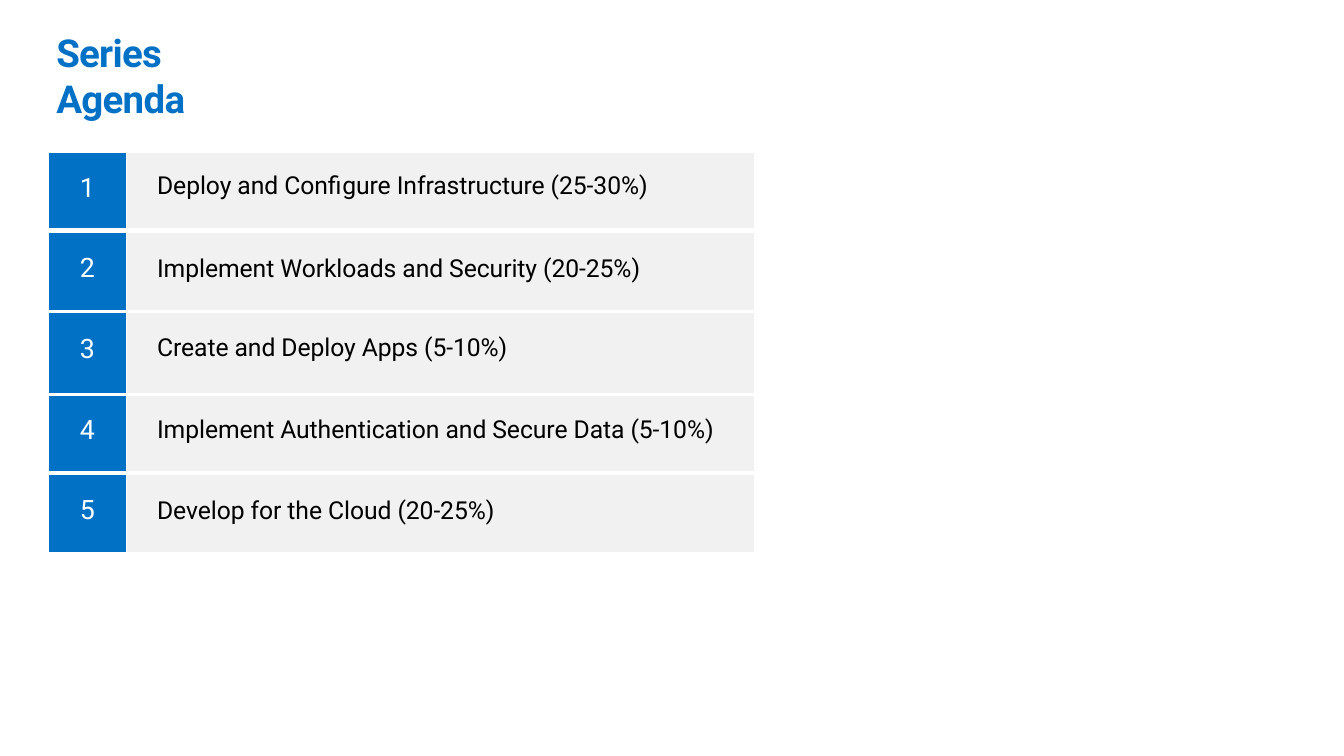
"""Build the series agenda slide with its numbered topic table."""
import pptx
import pptx.dml.color
import pptx.enum.text
import pptx.oxml.ns
import pptx.util
from lxml import etree
from pptx.util import Inches

BLUE = pptx.dml.color.RGBColor(0x00, 0x71, 0xC5)
GREY = pptx.dml.color.RGBColor(0xF1, 0xF1, 0xF1)
BLACK = pptx.dml.color.RGBColor(0x00, 0x00, 0x00)
WHITE = pptx.dml.color.RGBColor(0xFF, 0xFF, 0xFF)
ALIGN = pptx.enum.text.PP_ALIGN


def style_run(run, size, color, spacing):
    run.font.name = "Roboto"
    run.font.size = pptx.util.Pt(size)
    run.font.color.rgb = color
    run._r.get_or_add_rPr().set("spc", str(round(spacing * 100)))


def add_border(cell, side, width):
    border = etree.SubElement(
        cell._tc.get_or_add_tcPr(), pptx.oxml.ns.qn(f"a:ln{side}"), w=str(pptx.util.Pt(width))
    )
    fill = etree.SubElement(border, pptx.oxml.ns.qn("a:solidFill"))
    etree.SubElement(fill, pptx.oxml.ns.qn("a:srgbClr"), val=str(WHITE))


presentation = pptx.Presentation()
presentation.slide_width = Inches(13.6)
presentation.slide_height = Inches(7.65)
slide = presentation.slides.add_slide(presentation.slide_layouts[5])

title = slide.shapes.title
title.left, title.top = Inches(0.57), Inches(0.28)
title.width, title.height = Inches(2.4), Inches(0.49)
heading = title.text_frame
heading.text = "Series Agenda"
heading.word_wrap = True
heading.auto_size = pptx.enum.text.MSO_AUTO_SIZE.NONE
heading.vertical_anchor = pptx.enum.text.MSO_ANCHOR.TOP
heading.margin_left = heading.margin_right = heading.margin_bottom = 0
heading.margin_top = Inches(0.01)
heading.paragraphs[0].alignment = ALIGN.LEFT
style_run(heading.paragraphs[0].runs[0], 28, BLUE, -0.5)
heading.paragraphs[0].runs[0].font.bold = True

# topic, row height, number inset, topic inset, divider below
topics = [
    ("Deploy and Configure Infrastructure (25-30%)", 0.79, 0.21, 0.2, 4.25),
    ("Implement Workloads and Security (20-25%)", 0.82, 0.23, 0.25, 2.25),
    ("Create and Deploy Apps (5-10%)", 0.84, 0.23, 0.23, 2.25),
    ("Implement Authentication and Secure Data (5-10%)", 0.8, 0.21, 0.22, 3),
    ("Develop for the Cloud (20-25%)", 0.8, 0.22, 0.24, 1),
]
agenda = slide.shapes.add_table(
    len(topics), 2, Inches(0.49), Inches(1.54), Inches(7.15), Inches(4.05)
).table
agenda.first_row = False
agenda.horz_banding = False
agenda.columns[0].width = Inches(0.79)
agenda.columns[1].width = Inches(6.36)

divider_above = 1
for index, (topic, height, number_inset, topic_inset, divider_below) in enumerate(topics):
    agenda.rows[index].height = Inches(height)
    columns = [
        (str(index + 1), number_inset, 0, ALIGN.CENTER, 19.5, WHITE, BLUE, 0, "R"),
        (topic, topic_inset, 0.31, ALIGN.LEFT, 18, BLACK, GREY, -0.05, "L"),
    ]
    for column, (text, inset, indent, alignment, size, color, fill, spacing, side) in enumerate(columns):
        cell = agenda.cell(index, column)
        cell.text_frame.text = text
        cell.margin_left, cell.margin_top = Inches(indent), Inches(inset)
        cell.margin_right = cell.margin_bottom = 0
        cell.text_frame.paragraphs[0].alignment = alignment
        style_run(cell.text_frame.paragraphs[0].runs[0], size, color, spacing)
        add_border(cell, side, 1)
        add_border(cell, "T", divider_above)
        add_border(cell, "B", divider_below)
        cell.fill.solid()
        cell.fill.fore_color.rgb = fill
    divider_above = divider_below

presentation.save("out.pptx")
